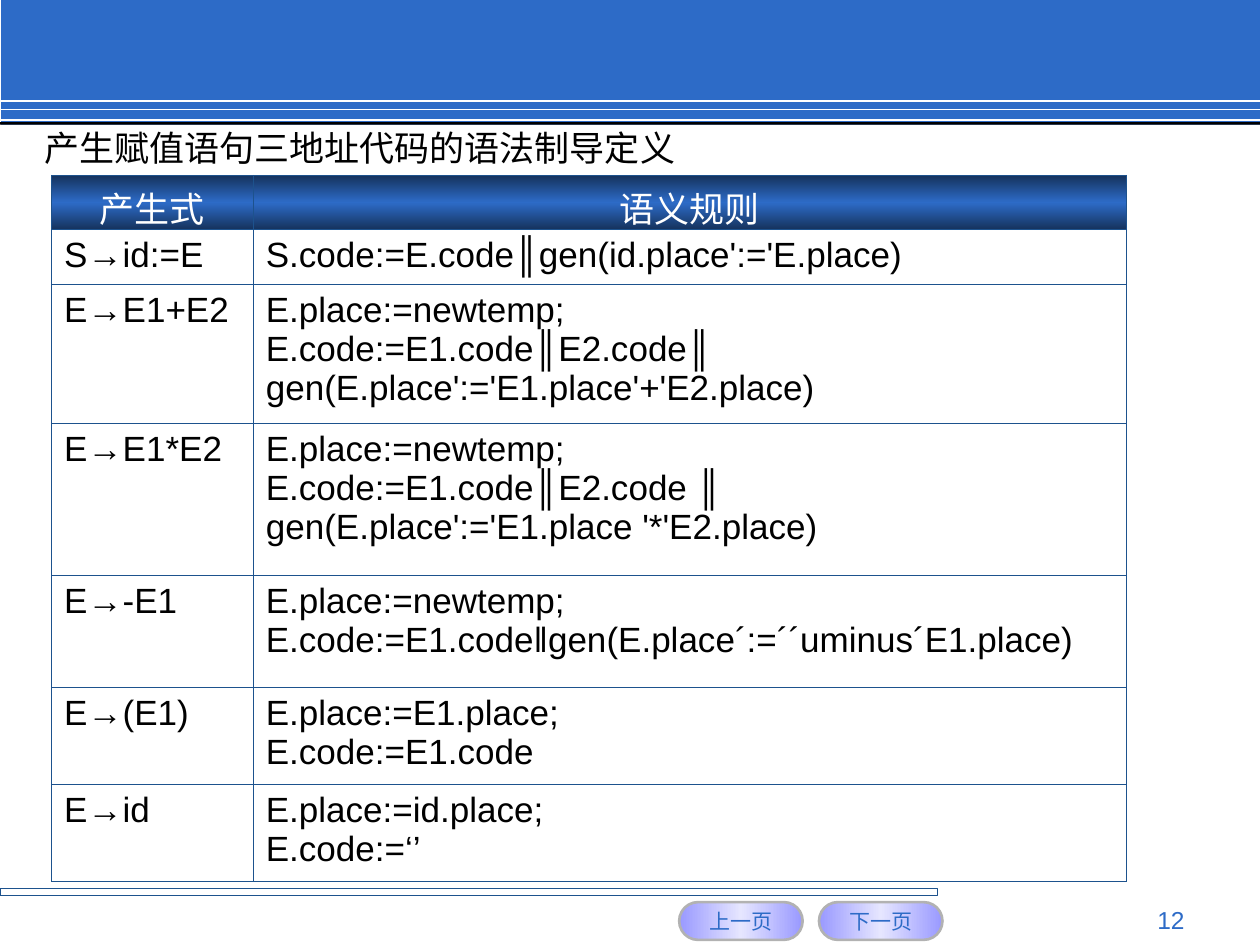
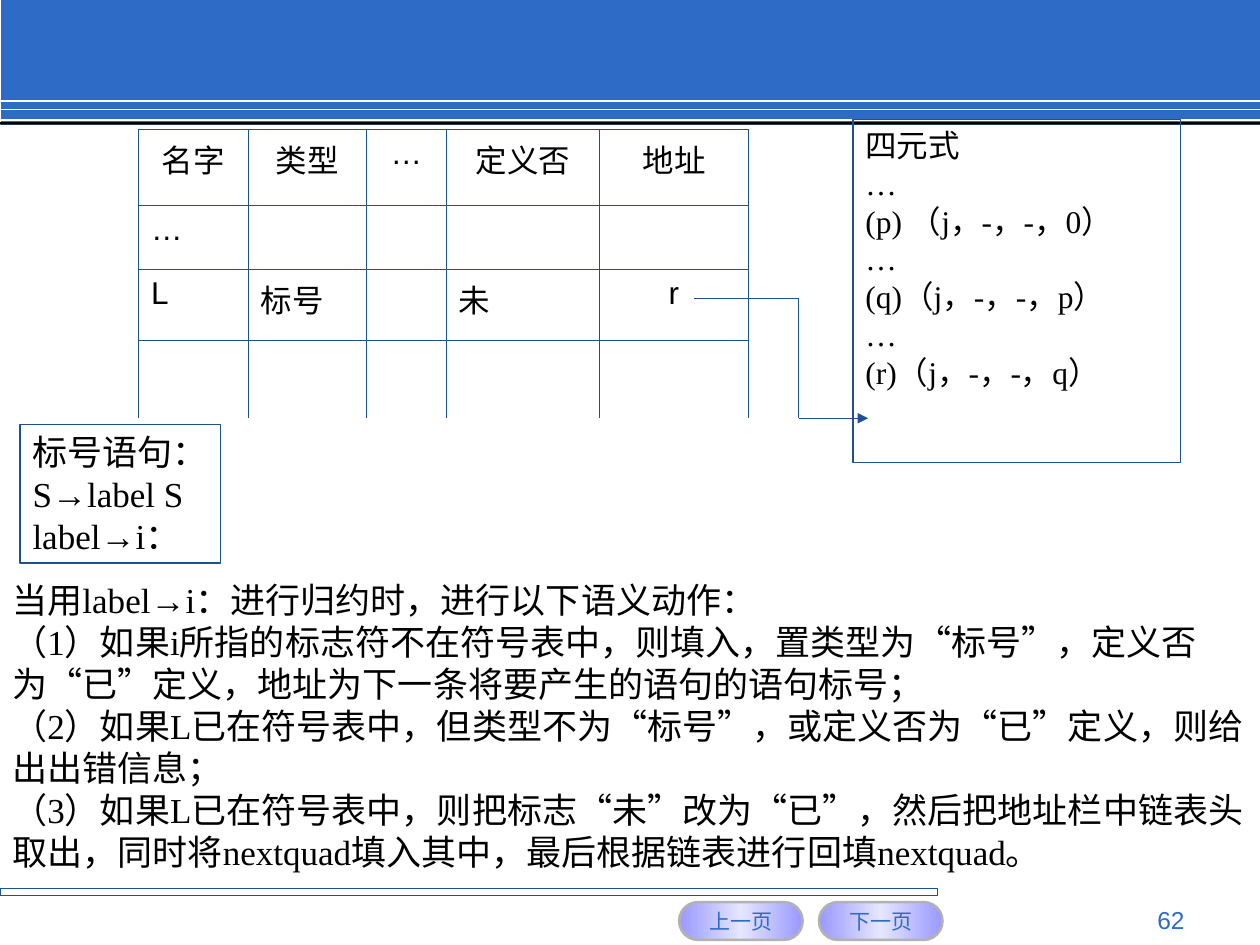
"""Build two slides on three-address code and label statements."""
from copy import deepcopy
from dataclasses import dataclass
from typing import Optional

from lxml.etree import SubElement
from pptx import Presentation
from pptx.dml.color import RGBColor
from pptx.enum.shapes import MSO_CONNECTOR, MSO_SHAPE
from pptx.enum.text import MSO_ANCHOR, MSO_AUTO_SIZE, PP_ALIGN
from pptx.oxml.ns import qn
from pptx.util import Inches, Pt


@dataclass(frozen=True)
class Theme:
    """Colours, fonts and sizes used throughout."""
    blue: str = "2D6BC7"
    navy: str = "15325C"
    outline: str = "1D528D"
    white: str = "FFFFFF"
    black: str = "000000"
    lilac: str = "9999FF"
    pale_lilac: str = "E6E6FF"
    grey: str = "B2B2B2"
    sans: str = "Arial"
    serif: str = "Times New Roman"
    body: int = 20
    small: int = 18
    page: int = 14
    button: int = 12
    hairline: float = 0.45
    thin: float = 0.75


@dataclass(frozen=True)
class Box:
    """A place on the slide in inches."""
    left: float
    top: float
    width: float
    height: float

    def lengths(self) -> tuple:
        """Return the four lengths for a shape call."""
        return tuple(map(Inches, (self.left, self.top, self.width, self.height)))


@dataclass(frozen=True)
class Band:
    """A rectangle of the slide frame."""
    box: Box
    fill: Optional[str] = None
    line: Optional[str] = None


@dataclass(frozen=True)
class NavButton:
    """A navigation button in the footer."""
    label: str
    left: float


@dataclass(frozen=True)
class Grid:
    """A table with its place, sizes and text."""
    left: float
    top: float
    columns: tuple
    row_heights: tuple
    rows: tuple
    size: int
    centred: frozenset
    header_gradient: bool = False
    open_bottom: bool = False


THEME = Theme()
BANDS = (
    Band(Box(0.01, 0, 9.99, 0.99), fill=THEME.blue),
    Band(Box(0, 0.97, 10, 0.02), fill=THEME.black),
    Band(Box(0, 7.05, 7.44, 0.06), line=THEME.outline),
)
STRIPE_TOPS = (0.8, 0.87, 0.95)
BUTTONS = (NavButton("上一页", 5.39), NavButton("下一页", 6.5))

SEMANTIC_RULES = Grid(
    0.41, 1.39, (1.6, 6.93), (0.43, 0.43, 1.1, 1.21, 0.89, 0.77, 0.77),
    (
        ("产生式", "语义规则"),
        ("S→id:=E", "S.code:=E.code║gen(id.place':='E.place)"),
        ("E→E1+E2", "E.place:=newtemp;\nE.code:=E1.code║E2.code║\n"
                    "gen(E.place':='E1.place'+'E2.place)"),
        ("E→E1*E2", "E.place:=newtemp;\nE.code:=E1.code║E2.code ║\n"
                    "gen(E.place':='E1.place '*'E2.place)"),
        ("E→-E1", "E.place:=newtemp;\n"
                  "E.code:=E1.code‖gen(E.place´:=´´uminus´E1.place)"),
        ("E→(E1)", "E.place:=E1.place;\nE.code:=E1.code"),
        ("E→id", "E.place:=id.place;\nE.code:=‘’"),
    ),
    THEME.body, frozenset({(0, 0), (0, 1)}), header_gradient=True)

SYMBOL_TABLE = Grid(
    1.1, 1.03, (0.87, 0.94, 0.63, 1.22, 1.18), (0.6, 0.51, 0.56, 0.62),
    (
        ("名字", "类型", "…", "定义否", "地址"),
        ("…", "", "", "", ""),
        ("L", "标号", "", "未", "r"),
        ("", "", "", "", ""),
    ),
    THEME.small, frozenset({(0, c) for c in range(5)} | {(2, 4)}),
    open_bottom=True)

QUADRUPLES = """四元式
…
(p) （j，-，-，0）
…
(q)（j，-，-，p）
…
(r)（j，-，-，q）"""
LABEL_GRAMMAR = "标号语句：\nS→label S\nlabel→i："
LABEL_ACTIONS = (
    "当用label→i：进行归约时，进行以下语义动作：\n"
    "（1）如果i所指的标志符不在符号表中，则填入，置类型为“标号”，"
    "定义否为“已”定义，地址为下一条将要产生的语句的语句标号；\n"
    "（2）如果L已在符号表中，但类型不为“标号”，或定义否为“已”定义，"
    "则给出出错信息；\n"
    "（3）如果L已在符号表中，则把标志“未”改为“已”，然后把地址栏中链表头取出，"
    "同时将nextquad填入其中，最后根据链表进行回填nextquad。")
CHAIN_POINTS = ((5.51, 2.37), (6.34, 2.37), (6.34, 3.32), (6.89, 3.32))


def rgb(code: str) -> RGBColor:
    """Turn a hex code into a colour."""
    return RGBColor.from_string(code)


def write_text(frame, text: str, *, size: int, font: str = THEME.sans,
               color: str = THEME.black, align=PP_ALIGN.LEFT, anchor=None,
               wrap: Optional[bool] = None, auto_size=None) -> None:
    """Fill a text frame and format every paragraph alike."""
    frame.text = text
    if anchor is not None:
        frame.vertical_anchor = anchor
    if wrap is not None:
        frame.word_wrap = wrap
    if auto_size is not None:
        frame.auto_size = auto_size
    for paragraph in frame.paragraphs:
        paragraph.alignment = align
        for run in paragraph.runs:
            run.font.size = Pt(size)
            run.font.name = font
            run.font.color.rgb = rgb(color)


def paint_gradient(fill, holder, edge: str, middle: str, angle: int) -> None:
    """Give a fill a gradient that is symmetric about its middle."""
    fill.gradient()
    fill.gradient_angle = angle
    stops = holder.find(".//" + qn("a:gsLst"))
    stops.append(deepcopy(stops[0]))
    for stop, position, color in zip(fill.gradient_stops, (0, 0.5, 1),
                                     (edge, middle, edge)):
        stop.position = position
        stop.color.rgb = rgb(color)


def add_block(slide, box: Box, *, kind=MSO_SHAPE.RECTANGLE,
              fill: Optional[str] = None, line: Optional[str] = None,
              weight: float = THEME.thin):
    """Add a preset shape without shadow."""
    block = slide.shapes.add_shape(kind, *box.lengths())
    block.shadow.inherit = False
    if fill:
        block.fill.solid()
        block.fill.fore_color.rgb = rgb(fill)
    else:
        block.fill.background()
    if line:
        block.line.color.rgb = rgb(line)
        block.line.width = Pt(weight)
    else:
        block.line.fill.background()
    return block


def add_rule(slide, start: tuple, end: tuple, color: str, weight: float,
             arrow: bool = False) -> None:
    """Draw a straight line, with an arrowhead at its end if asked."""
    rule = slide.shapes.add_connector(
        MSO_CONNECTOR.STRAIGHT, *map(Inches, start + end))
    rule.line.color.rgb = rgb(color)
    rule.line.width = Pt(weight)
    properties = rule.element.spPr
    if arrow:
        SubElement(properties.find(qn("a:ln")), qn("a:tailEnd"), type="triangle")
    SubElement(properties, qn("a:effectLst"))


def draw_frame(slide, page: int) -> None:
    """Draw the header bands, footer buttons and page number."""
    for band in BANDS:
        add_block(slide, band.box, fill=band.fill, line=band.line)
    for top in STRIPE_TOPS:
        add_rule(slide, (0, top), (10, top), THEME.white, 1)
    for button in BUTTONS:
        pill = add_block(slide, Box(button.left, 7.16, 0.98, 0.3),
                         kind=MSO_SHAPE.ROUNDED_RECTANGLE,
                         line=THEME.grey, weight=1.5)
        pill.adjustments[0] = 0.5
        paint_gradient(pill.fill, pill.element.spPr,
                       THEME.lilac, THEME.pale_lilac, 0)
        write_text(pill.text_frame, button.label, size=THEME.button,
                   color=THEME.blue, align=PP_ALIGN.CENTER,
                   anchor=MSO_ANCHOR.MIDDLE, wrap=False)
    number = slide.shapes.add_textbox(*Box(7.17, 7.13, 2.33, 0.27).lengths())
    write_text(number.text_frame, str(page), size=THEME.page, color=THEME.blue,
               align=PP_ALIGN.RIGHT, wrap=True)


def draw_borders(properties, open_bottom: bool) -> None:
    """Outline a cell, leaving its bottom open if asked."""
    for side in ("lnL", "lnR", "lnT", "lnB"):
        border = SubElement(properties, qn("a:" + side),
                            w=str(int(Pt(THEME.hairline))))
        if side == "lnB" and open_bottom:
            SubElement(border, qn("a:noFill"))
        else:
            paint = SubElement(border, qn("a:solidFill"))
            SubElement(paint, qn("a:srgbClr"), val=THEME.outline)


def draw_grid(slide, grid: Grid) -> None:
    """Draw a table from its description."""
    box = Box(grid.left, grid.top, sum(grid.columns), sum(grid.row_heights))
    table = slide.shapes.add_table(
        len(grid.rows), len(grid.columns), *box.lengths()).table
    table.first_row = table.horz_banding = False
    for column, width in zip(table.columns, grid.columns):
        column.width = Inches(width)
    for r, (texts, height) in enumerate(zip(grid.rows, grid.row_heights)):
        table.rows[r].height = Inches(height)
        for c, text in enumerate(texts):
            cell = table.cell(r, c)
            header = grid.header_gradient and r == 0
            properties = cell._tc.get_or_add_tcPr()
            draw_borders(properties,
                         grid.open_bottom and r == len(grid.rows) - 1)
            if header:
                paint_gradient(cell.fill, properties, THEME.navy, THEME.blue, 90)
            else:
                cell.fill.background()
            write_text(cell.text_frame, text, size=grid.size,
                       color=THEME.white if header else THEME.black,
                       align=PP_ALIGN.CENTER if (r, c) in grid.centred
                       else PP_ALIGN.LEFT)


def build_assignment_slide(deck) -> None:
    """Build the slide of semantic rules for assignments."""
    slide = deck.slides.add_slide(deck.slide_layouts[5])
    draw_frame(slide, 12)
    title = slide.shapes.title
    title.left, title.top, title.width, title.height = Box(
        0.25, 0.84, 8.33, 0.66).lengths()
    write_text(title.text_frame, "产生赋值语句三地址代码的语法制导定义",
               size=THEME.body, anchor=MSO_ANCHOR.MIDDLE, wrap=True,
               auto_size=MSO_AUTO_SIZE.NONE)
    draw_grid(slide, SEMANTIC_RULES)


def build_label_slide(deck) -> None:
    """Build the slide on label statements and backpatching."""
    slide = deck.slides.add_slide(deck.slide_layouts[6])
    draw_frame(slide, 62)
    draw_grid(slide, SYMBOL_TABLE)
    quadruples = add_block(slide, Box(6.77, 0.95, 2.6, 2.72), line=THEME.outline)
    write_text(quadruples.text_frame, QUADRUPLES, size=THEME.small,
               font=THEME.serif, anchor=MSO_ANCHOR.TOP, wrap=False)
    for start, end in zip(CHAIN_POINTS, CHAIN_POINTS[1:]):
        add_rule(slide, start, end, THEME.outline, THEME.thin,
                 arrow=end == CHAIN_POINTS[-1])
    grammar = add_block(slide, Box(0.16, 3.37, 1.59, 1.1), line=THEME.outline)
    write_text(grammar.text_frame, LABEL_GRAMMAR, size=THEME.body,
               font=THEME.serif, anchor=MSO_ANCHOR.TOP, wrap=False,
               auto_size=MSO_AUTO_SIZE.SHAPE_TO_FIT_TEXT)
    actions = slide.shapes.add_textbox(*Box(0, 4.54, 10, 2.77).lengths())
    write_text(actions.text_frame, LABEL_ACTIONS, size=THEME.body,
               font=THEME.serif, wrap=True,
               auto_size=MSO_AUTO_SIZE.SHAPE_TO_FIT_TEXT)


def main() -> None:
    """Build and save the deck."""
    deck = Presentation()
    deck.slide_width, deck.slide_height = Inches(10), Inches(7.5)
    build_assignment_slide(deck)
    build_label_slide(deck)
    deck.save("out.pptx")


if __name__ == "__main__":
    main()
